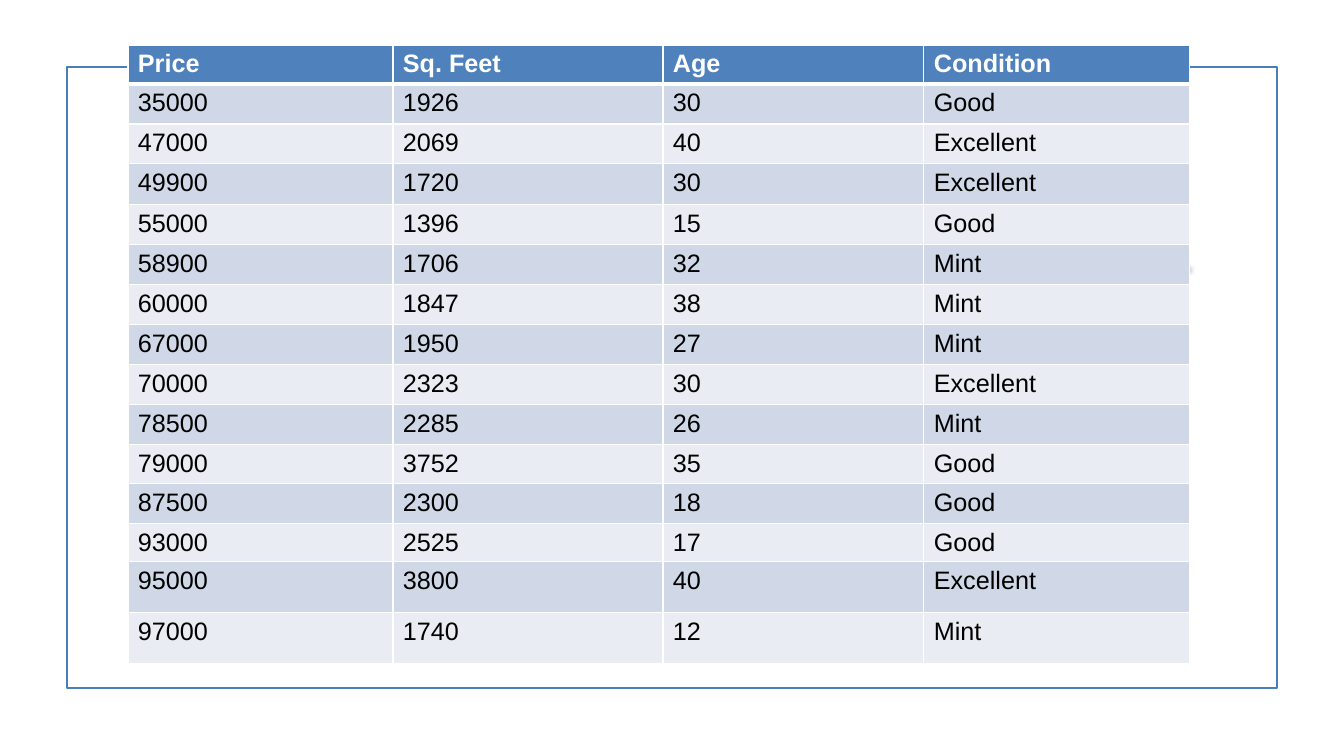
from dataclasses import dataclass

from lxml import etree
from pptx import Presentation
from pptx.dml.color import RGBColor
from pptx.enum.dml import MSO_THEME_COLOR
from pptx.enum.shapes import MSO_CONNECTOR, MSO_SHAPE
from pptx.oxml.ns import qn
from pptx.util import Emu, Pt

RECTANGLE = MSO_SHAPE.RECTANGLE
STRAIGHT = MSO_CONNECTOR.STRAIGHT
BLUE_THEME = MSO_THEME_COLOR.ACCENT_1

EMU_PER_PX = 12192000 / 1344
PAGE_WIDTH, PAGE_HEIGHT = 1344, 756

FRAME_BLUE = RGBColor(0x4A, 0x7E, 0xBB)
HEADER_BLUE = RGBColor(0x4F, 0x81, 0xBD)
BAND_DARK = RGBColor(0xD0, 0xD8, 0xE7)
BAND_LIGHT = RGBColor(0xE9, 0xEC, 0xF3)
WHITE = RGBColor(0xFF, 0xFF, 0xFF)
BLACK = RGBColor(0x00, 0x00, 0x00)

TABLE_LEFT, TABLE_TOP = 128, 45
COLUMN_WIDTHS = (265, 270, 261, 266)
ROW_HEIGHTS = (39, 40, 40, 41, *[40] * 6, 39, 40, 38, 51, 51)
THIN, THICK = 0.96, 3


@dataclass(frozen=True)
class House:
    price: int
    square_feet: int
    age: int
    condition: str

    def texts(self) -> tuple[str, ...]:
        return str(self.price), str(self.square_feet), str(self.age), self.condition


@dataclass(frozen=True)
class RowStyle:
    fill: RGBColor
    color: RGBColor
    bold: bool
    top: float = THIN
    bottom: float = THIN


HEADINGS = ("Price", "Sq. Feet", "Age", "Condition")
HOUSES = (
    House(35000, 1926, 30, "Good"),
    House(47000, 2069, 40, "Excellent"),
    House(49900, 1720, 30, "Excellent"),
    House(55000, 1396, 15, "Good"),
    House(58900, 1706, 32, "Mint"),
    House(60000, 1847, 38, "Mint"),
    House(67000, 1950, 27, "Mint"),
    House(70000, 2323, 30, "Excellent"),
    House(78500, 2285, 26, "Mint"),
    House(79000, 3752, 35, "Good"),
    House(87500, 2300, 18, "Good"),
    House(93000, 2525, 17, "Good"),
    House(95000, 3800, 40, "Excellent"),
    House(97000, 1740, 12, "Mint"),
)


def px(length: int) -> Emu:
    return Emu(round(length * EMU_PER_PX))


def set_format(target, values: dict) -> None:
    for name, value in values.items():
        setattr(target, name, value)


def draw_frame(page) -> None:
    frame = page.shapes.add_shape(RECTANGLE, px(67), px(67), px(1210), px(621))
    frame.shadow.inherit = False
    frame.fill.background()
    frame.line.color.rgb = FRAME_BLUE
    frame.line.width = Pt(1.25)


def draw_divider(page) -> None:
    """Draw the shadowed line that runs behind the table."""
    divider = page.shapes.add_connector(STRAIGHT, px(154), px(267), px(1190), px(267))
    divider.line.color.rgb = HEADER_BLUE
    divider.line.width = Pt(2)
    effects = etree.SubElement(divider._element.spPr, qn("a:effectLst"))
    shadow = etree.SubElement(effects, qn("a:outerShdw"), blurRad=str(Pt(3.1)),
                              dist=str(Pt(1.6)), dir="5400000", rotWithShape="0")
    color = etree.SubElement(shadow, qn("a:srgbClr"), val=str(BLACK))
    etree.SubElement(color, qn("a:alpha"), val="38000")


def add_borders(cell, style: RowStyle) -> None:
    """Add white borders ahead of the fill, as the schema orders them."""
    properties = cell._tc.get_or_add_tcPr()
    widths = {"a:lnL": THIN, "a:lnR": THIN, "a:lnT": style.top, "a:lnB": style.bottom}
    for position, (tag, width) in enumerate(widths.items()):
        border = etree.Element(qn(tag), w=str(Pt(width)))
        fill = etree.SubElement(border, qn("a:solidFill"))
        etree.SubElement(fill, qn("a:srgbClr"), val=str(WHITE))
        properties.insert(position, border)


def write_cell(cell, text: str, style: RowStyle) -> None:
    set_format(cell, {"margin_left": px(10), "margin_right": px(10),
                      "margin_top": px(5), "margin_bottom": px(3)})
    cell.fill.solid()
    cell.fill.fore_color.rgb = style.fill
    add_borders(cell, style)
    span = cell.text_frame.paragraphs[0].add_run()
    span.text = text
    set_format(span.font, {"name": "Arial", "size": Pt(18), "bold": style.bold})
    span.font.color.rgb = style.color


def row_style(row: int) -> RowStyle:
    if row == 0:
        return RowStyle(HEADER_BLUE, WHITE, True, bottom=THICK)
    band = BAND_DARK if row % 2 else BAND_LIGHT
    return RowStyle(band, BLACK, False, top=THICK if row == 1 else THIN)


def draw_house_table(page) -> None:
    rows = (HEADINGS, *(house.texts() for house in HOUSES))
    table = page.shapes.add_table(
        len(rows), len(HEADINGS), px(TABLE_LEFT), px(TABLE_TOP),
        px(sum(COLUMN_WIDTHS)), px(sum(ROW_HEIGHTS))).table
    for column, width in zip(table.columns, COLUMN_WIDTHS):
        column.width = px(width)
    for row, texts in enumerate(rows):
        table.rows[row].height = px(ROW_HEIGHTS[row])
        for column, text in enumerate(texts):
            write_cell(table.cell(row, column), text, row_style(row))


def main() -> None:
    deck = Presentation()
    set_format(deck, {"slide_width": px(PAGE_WIDTH), "slide_height": px(PAGE_HEIGHT)})
    page = deck.slides.add_slide(deck.slide_layouts[6])
    draw_frame(page)
    draw_divider(page)
    draw_house_table(page)
    deck.save("out.pptx")


if __name__ == "__main__":
    main()
